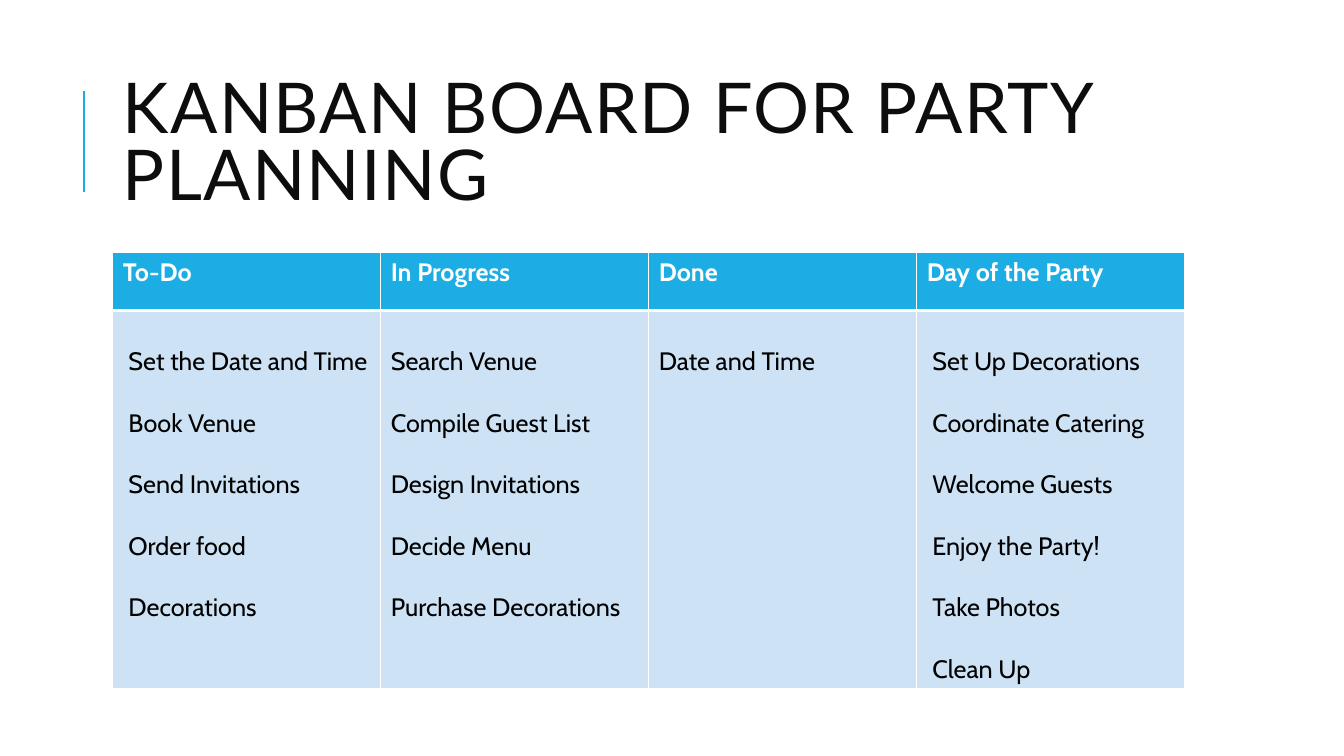
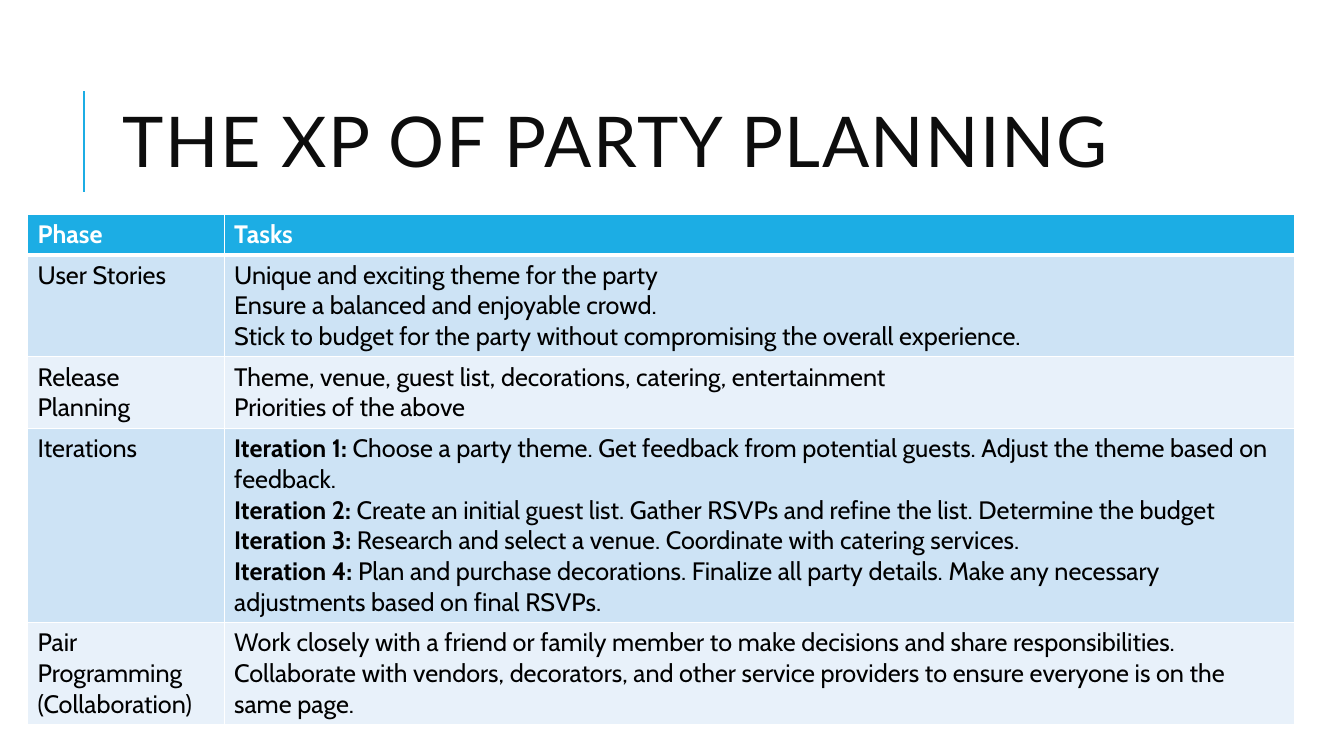
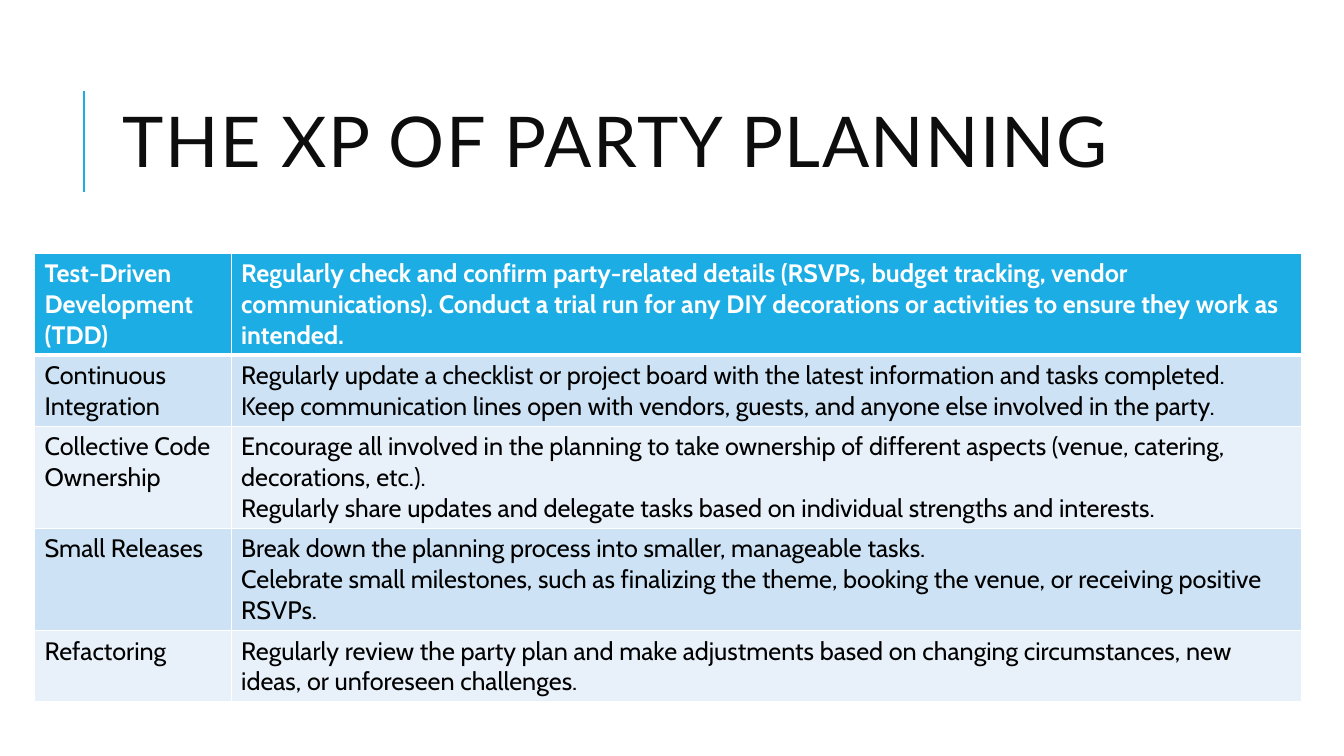
from dataclasses import dataclass

from lxml import etree
from pptx import Presentation
from pptx import util as u
from pptx.dml import color as c
from pptx.enum import shapes as es, text as et
from pptx.oxml import ns

Pt = u.Pt


# Theme: colours, fonts and sizes
@dataclass(frozen=True)
class Theme:
    blue: str = "1CADE4"
    ink: str = "0D0D0D"
    black: str = "000000"
    white: str = "FFFFFF"
    bands: tuple[str, str] = ("CDE3F5", "E8F1FA")
    head: str = "Lato"
    body: str = "Cabin"
    big: float = 50
    small: float = 18
    line: float = 21.9  # height of one line of table text
    pad: float = 7.2    # top and bottom cell margins together
    thin: float = 1
    thick: float = 3


THEME = Theme()


@dataclass(frozen=True)
class Grid:
    left: float
    top: float
    cols: tuple[float, ...]
    highs: tuple[float, ...]
    rows: tuple[tuple[str, ...], ...]
    space: float = 1
    indent: tuple[int, ...] = ()  # columns whose body text is set in


@dataclass(frozen=True)
class Page:
    title: str
    grid: Grid


def highs(*lines: int) -> tuple[float, ...]:
    """Row heights for the given numbers of text lines."""
    return tuple(n * THEME.line + THEME.pad for n in lines)


# Text: one paragraph per line; a part before "|" is bold
def put(frame, text: str, *, font: str, size: float, color: str,
        bold: bool = False, space: float = 1, track: float = 0) -> None:
    for i, line in enumerate(text.split("\n")):
        para = frame.paragraphs[0] if i == 0 else frame.add_paragraph()
        para.line_spacing = space
        lead, _, rest = line.rpartition("|")
        for part, strong in ((lead, True), (rest, bold)):
            if not part:
                continue
            run = para.add_run()
            run.text = part
            run.font.name = font
            run.font.size = Pt(size)
            run.font.bold = strong
            run.font.color.rgb = c.RGBColor.from_string(color)
            if track:
                run.font._element.set("spc", str(round(track * 100)))


# Title with the rule at its left
def draw_title(slide, text: str) -> None:
    rule = slide.shapes.add_connector(
        es.MSO_CONNECTOR.STRAIGHT, Pt(60), Pt(136.8), Pt(60), Pt(64.8))
    rule.line.color.rgb = c.RGBColor.from_string(THEME.blue)
    rule.line.width = Pt(1.5)
    etree.SubElement(rule._element.spPr, ns.qn("a:effectLst"))

    box = slide.shapes.add_textbox(Pt(80.6), Pt(46), Pt(765.4), Pt(118))
    frame = box.text_frame
    frame.word_wrap = True
    frame.vertical_anchor = et.MSO_ANCHOR.MIDDLE
    put(frame, text, font=THEME.head, size=THEME.big, color=THEME.ink,
        space=0.8, track=1)


# Table cells
def edge(cell, top: float, base: float) -> None:
    props = cell._tc.get_or_add_tcPr()
    sides = {"L": THEME.thin, "R": THEME.thin, "T": top, "B": base}
    for side, width in sides.items():
        line = etree.SubElement(props, ns.qn(f"a:ln{side}"), w=str(Pt(width)))
        fill = etree.SubElement(line, ns.qn("a:solidFill"))
        etree.SubElement(fill, ns.qn("a:srgbClr"), val=THEME.white)


def draw_grid(slide, grid: Grid) -> None:
    table = slide.shapes.add_table(
        len(grid.rows), len(grid.cols), Pt(grid.left), Pt(grid.top),
        Pt(sum(grid.cols)), Pt(sum(grid.highs))).table
    for col, width in zip(table.columns, grid.cols):
        col.width = Pt(width)
    for r, (row, high) in enumerate(zip(grid.rows, grid.highs)):
        table.rows[r].height = Pt(high)
        head = r == 0
        for k, text in enumerate(row):
            cell = table.cell(r, k)
            edge(cell, THEME.thick if r == 1 else THEME.thin,
                 THEME.thick if head else THEME.thin)
            cell.fill.solid()
            cell.fill.fore_color.rgb = c.RGBColor.from_string(
                THEME.blue if head else THEME.bands[(r - 1) % 2])
            if k in grid.indent and not head:
                cell.margin_left = Pt(11.2)
            put(cell.text_frame, text, font=THEME.body, size=THEME.small,
                color=THEME.white if head else THEME.black, bold=head,
                space=1 if head else grid.space)


# Content
WIDE = (140.4, 764.6)

PAGES = (
    Page("KANBAN BOARD FOR PARTY PLANNING", Grid(
        80.6, 180.3, (191.4,) * 4, (41.5, 270), (
            ("To-Do", "In Progress", "Done", "Day of the Party"),
            ("Set the Date and Time\nBook Venue\nSend Invitations\n"
             "Order food\nDecorations",
             "Search Venue\nCompile Guest List\nDesign Invitations\n"
             "Decide Menu\nPurchase Decorations",
             "Date and Time",
             "Set Up Decorations\nCoordinate Catering\nWelcome Guests\n"
             "Enjoy the Party!\nTake Photos\nClean Up"),
        ), space=2, indent=(0, 3))),
    Page("THE XP OF PARTY PLANNING", Grid(
        19.7, 152.9, WIDE, highs(1, 3, 2, 6, 3), (
            ("Phase", "Tasks"),
            ("User Stories",
             "Unique and exciting theme for the party\n"
             "Ensure a balanced and enjoyable crowd.\n"
             "Stick to budget for the party without compromising the "
             "overall experience."),
            ("Release Planning",
             "Theme, venue, guest list, decorations, catering, "
             "entertainment\nPriorities of the above"),
            ("Iterations",
             "Iteration 1:| Choose a party theme. Get feedback from "
             "potential guests. Adjust the theme based on feedback.\n"
             "Iteration 2:| Create an initial guest list. Gather RSVPs and "
             "refine the list. Determine the budget\n"
             "Iteration 3:| Research and select a venue. Coordinate with "
             "catering services.\n"
             "Iteration 4:| Plan and purchase decorations. Finalize all "
             "party details. Make any necessary adjustments based on final "
             "RSVPs."),
            ("Pair Programming (Collaboration)",
             "Work closely with a friend or family member to make decisions "
             "and share responsibilities.\n"
             "Collaborate with vendors, decorators, and other service "
             "providers to ensure everyone is on the same page."),
        ))),
    Page("THE XP OF PARTY PLANNING", Grid(
        24.7, 180.8, WIDE, highs(3, 2, 3, 3, 2), (
            ("Test-Driven Development (TDD)",
             "Regularly check and confirm party-related details (RSVPs, "
             "budget tracking, vendor communications). Conduct a trial run "
             "for any DIY decorations or activities to ensure they work as "
             "intended."),
            ("Continuous Integration",
             "Regularly update a checklist or project board with the latest "
             "information and tasks completed.\n"
             "Keep communication lines open with vendors, guests, and anyone "
             "else involved in the party."),
            ("Collective Code Ownership",
             "Encourage all involved in the planning to take ownership of "
             "different aspects (venue, catering, decorations, etc.).\n"
             "Regularly share updates and delegate tasks based on individual "
             "strengths and interests."),
            ("Small Releases",
             "Break down the planning process into smaller, manageable "
             "tasks.\n"
             "Celebrate small milestones, such as finalizing the theme, "
             "booking the venue, or receiving positive RSVPs."),
            ("Refactoring",
             "Regularly review the party plan and make adjustments based on "
             "changing circumstances, new ideas, or unforeseen challenges."),
        ))),
)


def main() -> None:
    deck = Presentation()
    deck.slide_width, deck.slide_height = Pt(960), Pt(540)
    for page in PAGES:
        slide = deck.slides.add_slide(deck.slide_layouts[6])
        draw_title(slide, page.title)
        draw_grid(slide, page.grid)
    deck.save("out.pptx")


if __name__ == "__main__":
    main()
